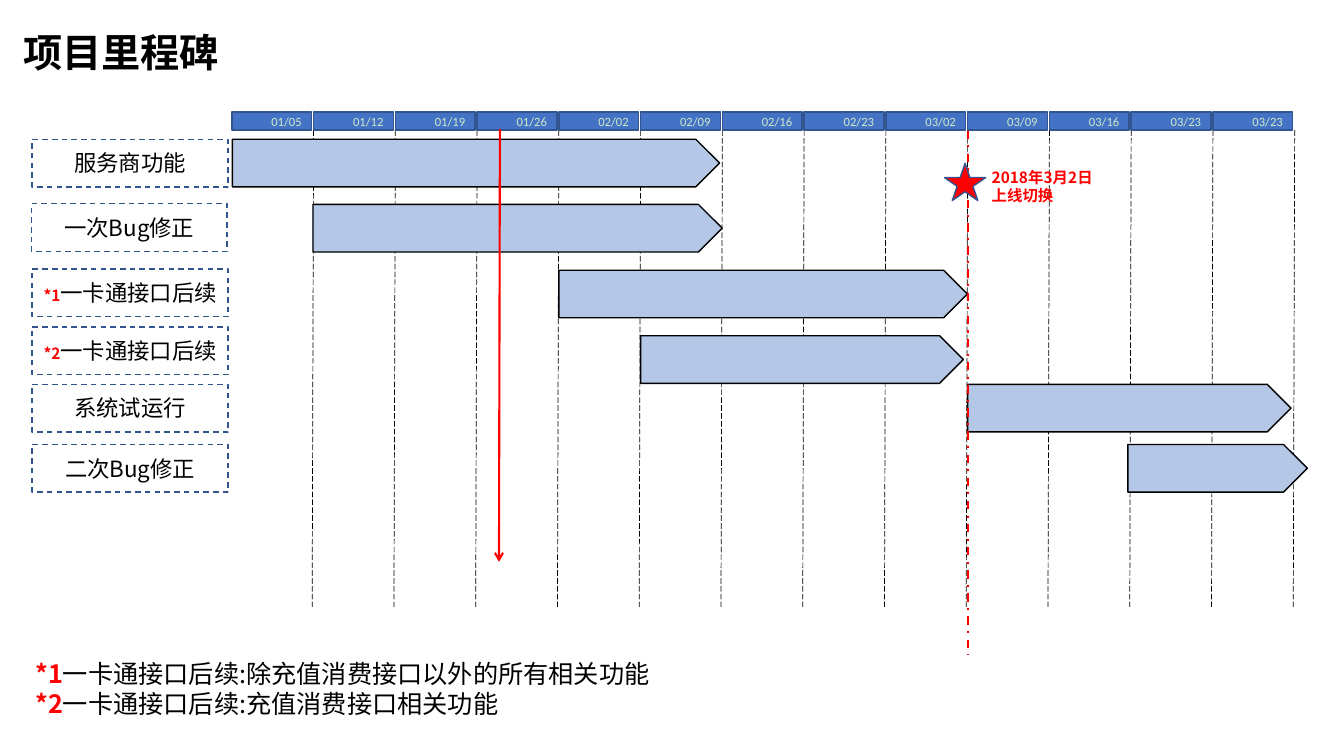
from dataclasses import dataclass

from lxml.etree import SubElement
from pptx import Presentation
from pptx.dml.color import RGBColor
from pptx.enum.dml import MSO_LINE
from pptx.enum.shapes import MSO_CONNECTOR, MSO_SHAPE
from pptx.enum.text import MSO_ANCHOR, MSO_AUTO_SIZE, PP_ALIGN
from pptx.oxml.ns import qn
from pptx.util import Pt


@dataclass(frozen=True)
class Theme:
    ink: str = "000000"
    accent: str = "FF0000"
    header: str = "4472C4"
    outline: str = "325491"
    bar: str = "B4C7E7"
    pale: str = "CEEACA"
    latin: str = "Calibri"
    cjk: str = "Noto Sans CJK SC"
    title: int = 28
    note: int = 18
    label: int = 16
    mark: int = 11
    date: int = 9
    leading: float = 1.19


@dataclass(frozen=True)
class Box:
    left: float
    top: float
    width: float
    height: float

    def inside(self, x, y, width, height):
        return Box(self.left + x, self.top + y, width, height)

    def lengths(self):
        return [Pt(v) for v in (self.left, self.top, self.width, self.height)]


THEME = Theme()
COLUMN = 58.4
DATES = ["01/05", "01/12", "01/19", "01/26", "02/02", "02/09", "02/16",
         "02/23", "03/02", "03/09", "03/16", "03/23", "03/23"]
TASKS = [
    ("", "服务商功能", 0, 0, 0, 0.4, 348),
    ("", "一次Bug修正", -0.7, 46, 46.5, 58, 292.3),
    ("*1", "一卡通接口后续", 0, 92.7, 93.5, 233.6, 291.8),
    ("*2", "一卡通接口后续", 0, 134, 140.3, 292, 230.6),
    ("", "系统试运行", 0, 175, 175, 525.6, 231),
    ("", "二次Bug修正", 0, 218, 218, 640, 128.2),
]
NOTES = [
    ("*1", "一卡通接口后续:除充值消费接口以外的所有相关功能"),
    ("*2", "一卡通接口后续:充值消费接口相关功能"),
]


def assign(target, values):
    for name, value in values.items():
        setattr(target, name, value)


def style_line(line, color, width, dash=None):
    line.color.rgb = RGBColor.from_string(color)
    assign(line, {"width": Pt(width), "dash_style": dash})


def write(frame, lines, align, anchor, leading, margin=3.6):
    assign(frame, {"word_wrap": True, "auto_size": MSO_AUTO_SIZE.NONE,
                   "vertical_anchor": anchor,
                   "margin_left": Pt(7.2), "margin_right": Pt(7.2),
                   "margin_top": Pt(margin), "margin_bottom": Pt(margin)})
    for index, pieces in enumerate(lines):
        paragraph = frame.paragraphs[0] if index == 0 else frame.add_paragraph()
        assign(paragraph, {"alignment": align, "line_spacing": Pt(leading),
                           "space_before": Pt(0), "space_after": Pt(0)})
        for words, size, color, bold, face in pieces:
            run = paragraph.add_run()
            run.text = words
            assign(run.font, {"size": Pt(size), "bold": bold, "name": face})
            run.font.color.rgb = RGBColor.from_string(color)
            SubElement(run.font._element, qn("a:ea")).set("typeface", face)


def marked(mark, words, mark_size, size):
    pieces = [(mark, mark_size, THEME.accent, True, THEME.cjk)] if mark else []
    return pieces + [(words, size, THEME.ink, False, THEME.cjk)]


def add_block(slide, kind, box, fill, outline, dash=None):
    block = slide.shapes.add_shape(kind, *box.lengths())
    block.shadow.inherit = False
    if fill:
        block.fill.solid()
        block.fill.fore_color.rgb = RGBColor.from_string(fill)
    else:
        block.fill.background()
    style_line(block.line, outline, 1, dash)
    return block


def add_rule(slide, start, end, color, width, dash=None, arrow=False):
    points = [Pt(v) for v in (*start, *end)]
    rule = slide.shapes.add_connector(MSO_CONNECTOR.STRAIGHT, *points)
    style_line(rule.line, color, width, dash)
    properties = rule._element.spPr
    if arrow:
        SubElement(properties.find(qn("a:ln")), qn("a:tailEnd")).set("type", "arrow")
    SubElement(properties, qn("a:effectLst"))


def place(placeholder, box):
    assign(placeholder, dict(zip(("left", "top", "width", "height"), box.lengths())))


def draw_title(slide, box):
    title = slide.shapes.title
    place(title, box)
    write(title.text_frame, [[("项目里程碑", THEME.title, THEME.ink, True, THEME.cjk)]],
          PP_ALIGN.LEFT, MSO_ANCHOR.TOP, 30)


def draw_dividers(slide, box):
    for number in range(1, len(DATES) + 1):
        x = box.left + number * COLUMN
        add_rule(slide, (x, box.top), (x - 1, box.top + box.height),
                 THEME.ink, 0.5, MSO_LINE.LONG_DASH)


def draw_dates(slide, box):
    for number, date in enumerate(DATES):
        cell = add_block(slide, MSO_SHAPE.RECTANGLE,
                         box.inside(number * COLUMN, 0, 57, box.height),
                         THEME.header, THEME.outline)
        write(cell.text_frame, [[(date, THEME.date, THEME.pale, False, THEME.latin)]],
              PP_ALIGN.RIGHT, MSO_ANCHOR.MIDDLE, 11, 0)


def draw_labels(slide, box):
    for mark, words, shift, y, *_ in TASKS:
        label = add_block(slide, MSO_SHAPE.RECTANGLE, box.inside(shift, y, box.width, 34),
                          None, THEME.outline, MSO_LINE.DASH)
        write(label.text_frame, [marked(mark, words, THEME.mark, THEME.label)],
              PP_ALIGN.CENTER, MSO_ANCHOR.MIDDLE, THEME.label * THEME.leading)


def draw_bars(slide, box):
    for *_, y, start, length in TASKS:
        add_block(slide, MSO_SHAPE.PENTAGON, box.inside(start, y, length, 34),
                  THEME.bar, THEME.ink)


def draw_milestones(slide, box):
    today = box.left + 191.5
    add_rule(slide, (today, box.top), (today - 0.7, box.top + 309),
             THEME.accent, 1.5, arrow=True)
    launch = box.left + 9 * COLUMN
    add_rule(slide, (launch, box.top + 1), (launch, box.top + box.height),
             THEME.accent, 1.5, MSO_LINE.DASH_DOT)
    add_block(slide, MSO_SHAPE.STAR_5_POINT, box.inside(509, 24.4, 29.5, 26.6),
              THEME.accent, THEME.outline)
    caption = slide.shapes.add_textbox(*box.inside(535.7, 24.4, 88.5, 34).lengths())
    write(caption.text_frame,
          [[(words, THEME.mark, THEME.accent, True, THEME.cjk)]
           for words in ("2018年3月2日", "上线切换")],
          PP_ALIGN.LEFT, MSO_ANCHOR.TOP, THEME.mark * THEME.leading)


def draw_notes(slide, box):
    notes = slide.placeholders[1]
    place(notes, box)
    write(notes.text_frame,
          [marked(mark, words, THEME.note, THEME.note) for mark, words in NOTES],
          PP_ALIGN.LEFT, MSO_ANCHOR.MIDDLE, THEME.note * THEME.leading)
    for paragraph in notes.text_frame.paragraphs:
        properties = paragraph._p.get_or_add_pPr()
        for name in ("marL", "indent"):
            properties.set(name, "0")
        SubElement(properties, qn("a:buNone"))


def draw_milestone_slide(slide):
    draw_title(slide, Box(9.4, 20, 181, 41))
    draw_dividers(slide, Box(165.6, 93, 760, 340.5))
    draw_dates(slide, Box(165.6, 80, 760, 13))
    draw_labels(slide, Box(23, 99.5, 140, 252))
    draw_bars(slide, Box(165.6, 99.5, 770, 252))
    draw_notes(slide, Box(18, 465, 910, 53))
    draw_milestones(slide, Box(165.6, 92.3, 760, 375.7))


def main():
    deck = Presentation()
    assign(deck, {"slide_width": Pt(960), "slide_height": Pt(540)})
    draw_milestone_slide(deck.slides.add_slide(deck.slide_layouts[1]))
    deck.save("out.pptx")


if __name__ == "__main__":
    main()
